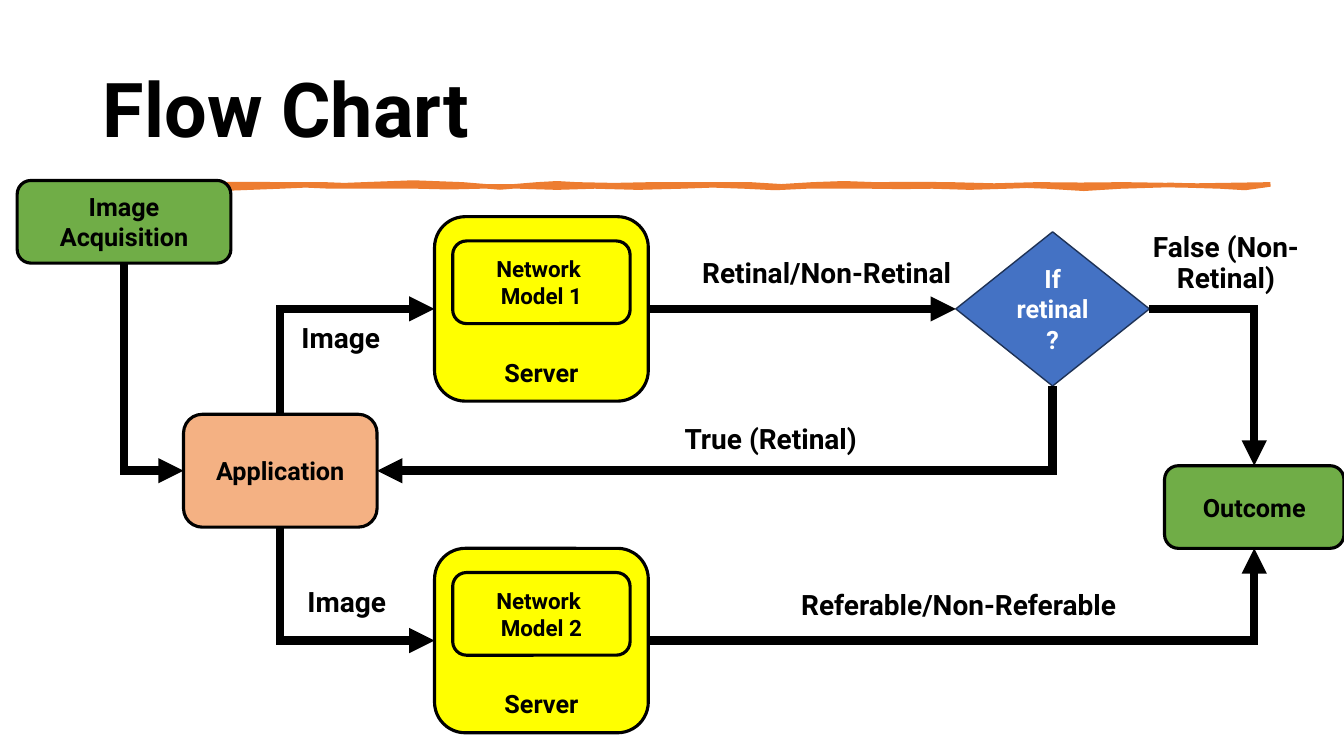
import pptx
import pptx.util
import pptx.dml.color
import pptx.enum.shapes
import pptx.enum.text
import pptx.oxml
import pptx.oxml.ns

Inches = pptx.util.Inches
Pt = pptx.util.Pt
RGBColor = pptx.dml.color.RGBColor
Shape = pptx.enum.shapes.MSO_SHAPE
Connector = pptx.enum.shapes.MSO_CONNECTOR
Anchor = pptx.enum.text.MSO_ANCHOR
Align = pptx.enum.text.PP_ALIGN
qn = pptx.oxml.ns.qn

FONT = "Roboto"
BLACK = RGBColor(0x00, 0x00, 0x00)
WHITE = RGBColor(0xFF, 0xFF, 0xFF)
ORANGE = RGBColor(0xED, 0x7D, 0x31)
GREEN = RGBColor(0x70, 0xAD, 0x47)
YELLOW = RGBColor(0xFF, 0xFF, 0x00)
PEACH = RGBColor(0xF4, 0xB1, 0x83)
BLUE = RGBColor(0x44, 0x72, 0xC4)
NAVY = RGBColor(0x1E, 0x32, 0x56)

TOP, LEFT, BOTTOM, RIGHT = range(4)

UPPER_WAVES = [
    (1.24, -2, 0), (1.98, 1, 3), (2.84, -2, 1), (3.22, 0, 0), (3.61, 1, 1),
    (4.59, -1, -4), (5.33, 5, 3), (5.72, -2, -1), (6.46, 2, 0), (7.44, 1, -1),
    (8.06, 2, 3), (8.68, -2, -1), (9.43, 2, -3), (10.29, 4, -1),
    (11.15, 2, -1), (12.6, 2, 1),
]
LOWER_WAVES = [
    (12.1, 2, 2), (11.12, -1, -3), (10.38, 4, 2), (9.99, -1, -1),
    (9.25, 2, 1), (8.63, 0, 1), (8, 0, 0), (7.38, 1, 3), (6.76, -2, -1),
    (5.9, 2, 1), (5.15, 0, 3), (4.77, -2, 2), (4.14, -1, 3), (3.28, -2, 2),
    (2.78, -2, -1), (1.8, 2, 3), (0.73, -3, -3),
]


def write_text(shape, text, size=18, color=BLACK, align=Align.CENTER,
               anchor=Anchor.MIDDLE, line_spacing=None, indent=0):
    frame = shape.text_frame
    frame.word_wrap = True
    frame.auto_size = pptx.enum.text.MSO_AUTO_SIZE.NONE
    frame.vertical_anchor = anchor
    frame.text = text
    for paragraph in frame.paragraphs:
        paragraph.alignment = align
        paragraph.line_spacing = line_spacing
        if indent:
            properties = paragraph._p.get_or_add_pPr()
            properties.set("marL", str(Inches(indent)))
            properties.set("indent", "0")
        paragraph.font.name = FONT
        paragraph.font.size = Pt(size)
        paragraph.font.bold = True
        paragraph.font.color.rgb = color


def add_element(parent, tag, attributes=""):
    namespace = pptx.oxml.ns.nsdecls("a")
    parent.append(pptx.oxml.parse_xml(f"<a:{tag} {namespace} {attributes}/>"))


def add_title(slide, left, top, width, height):
    title = slide.shapes.title
    title.left, title.top = Inches(left), Inches(top)
    title.width, title.height = Inches(width), Inches(height)
    write_text(title, "Flow Chart", size=54, align=Align.LEFT, line_spacing=0.9)


def wave_points(start, baseline, waves):
    points = []
    for end, first, second in waves:
        bend = 3 * (first + second) / 800
        points.append((Inches((start + end) / 2), Inches(baseline + bend)))
        points.append((Inches(end), Inches(baseline)))
        start = end
    return points


def add_underline(slide, left, top, right, thickness):
    builder = slide.shapes.build_freeform(Inches(left), Inches(top))
    builder.add_line_segments(wave_points(left, top, UPPER_WAVES), close=False)
    builder.add_line_segments(wave_points(right, top + thickness, LOWER_WAVES))
    underline = builder.convert_to_shape()
    underline.shadow.inherit = False
    underline.fill.solid()
    underline.fill.fore_color.rgb = ORANGE
    underline.line.color.rgb = ORANGE
    underline.line.width = Pt(3.25)
    add_element(underline._element.spPr.find(qn("a:ln")), "miter", 'lim="800000"')


def add_node(shapes, left, top, width, height, text, fill, kind=Shape.ROUNDED_RECTANGLE,
             line=BLACK, line_width=2.25, **text_format):
    node = shapes.add_shape(kind, Inches(left), Inches(top), Inches(width), Inches(height))
    node.shadow.inherit = False
    node.fill.solid()
    node.fill.fore_color.rgb = fill
    node.line.color.rgb = line
    node.line.width = Pt(line_width)
    write_text(node, text, **text_format)
    return node


def add_server(slide, left, top, number):
    group = slide.shapes.add_group_shape()
    server = add_node(group.shapes, left, top, 2.12, 1.83, "Server", YELLOW,
                      anchor=Anchor.BOTTOM)
    add_node(group.shapes, left + 0.18, top + 0.24, 1.76, 0.82,
             f"Network \nModel {number}", YELLOW, size=16)
    return server


def add_label(slide, left, top, width, height, text):
    label = slide.shapes.add_textbox(Inches(left), Inches(top), Inches(width), Inches(height))
    write_text(label, text, size=20, anchor=Anchor.TOP, line_spacing=0.9, indent=0.06)


def side_middle(shape, side):
    x = {LEFT: 0, RIGHT: shape.width}.get(side, shape.width // 2)
    y = {TOP: 0, BOTTOM: shape.height}.get(side, shape.height // 2)
    return shape.left + x, shape.top + y


def style_arrow(arrow):
    arrow.line.color.rgb = BLACK
    arrow.line.width = Pt(6)
    properties = arrow._element.spPr
    outline = properties.find(qn("a:ln"))
    add_element(outline, "miter", 'lim="800000"')
    add_element(outline, "tailEnd", 'type="triangle"')
    add_element(properties, "effectLst")


def add_straight_arrow(slide, source, source_side, target, target_side):
    arrow = slide.shapes.add_connector(
        Connector.STRAIGHT, *side_middle(source, source_side), *side_middle(target, target_side))
    arrow.begin_connect(source, source_side)
    arrow.end_connect(target, target_side)
    style_arrow(arrow)


def add_elbow_arrow(slide, source, source_side, target, target_side):
    begin_x, begin_y = side_middle(source, source_side)
    end_x, end_y = side_middle(target, target_side)
    vertical_first = source_side in (TOP, BOTTOM)
    if vertical_first:
        center_x, center_y = (begin_x + end_x) // 2, (begin_y + end_y) // 2
        half_x, half_y = (end_x - begin_x) // 2, (end_y - begin_y) // 2
        begin_x, begin_y = center_x - half_y, center_y + half_x
        end_x, end_y = center_x + half_y, center_y - half_x
    arrow = slide.shapes.add_connector(Connector.ELBOW, begin_x, begin_y, end_x, end_y)
    properties = arrow._element.spPr
    properties.find(qn("a:prstGeom")).set("prst", "bentConnector2")
    if vertical_first:
        properties.find(qn("a:xfrm")).set("rot", "5400000")
    style_arrow(arrow)


def add_flow_chart(slide, left, top):
    shapes = slide.shapes
    acquisition = add_node(shapes, left, top, 2.12, 0.82, "Image Acquisition", GREEN)
    first_server, second_server = [
        add_server(slide, left + 4.14, top + 0.36 + index * 3.29, index + 1)
        for index in range(2)
    ]
    application = add_node(shapes, left + 1.65, top + 2.32, 1.92, 1.12, "Application", PEACH)
    outcome = add_node(shapes, left + 11.38, top + 2.83, 1.78, 0.82, "Outcome", GREEN)
    decision = add_node(shapes, left + 9.31, top + 0.51, 1.92, 1.53, "If retinal?", BLUE,
                        kind=Shape.DIAMOND, line=NAVY, line_width=1, color=WHITE)

    add_straight_arrow(slide, first_server, RIGHT, decision, LEFT)
    for source, source_side, target, target_side in [
        (acquisition, BOTTOM, application, LEFT),
        (application, TOP, first_server, LEFT),
        (application, BOTTOM, second_server, LEFT),
        (decision, RIGHT, outcome, TOP),
        (decision, BOTTOM, application, RIGHT),
        (second_server, RIGHT, outcome, BOTTOM),
    ]:
        add_elbow_arrow(slide, source, source_side, target, target_side)

    for x, y, width, height, text in [
        (2.54, 1.38, 1.28, 0.54, "Image"),
        (2.6, 4, 1.28, 0.54, "Image"),
        (5.93, 0.73, 4.14, 0.54, "Retinal/Non-Retinal"),
        (6.21, 2.38, 2.47, 0.54, "True (Retinal)"),
        (7.24, 4.03, 4.14, 0.54, "Referable/Non-Referable"),
        (10.76, 0.48, 2.4, 0.79, "False (Non-Retinal)"),
    ]:
        add_label(slide, left + x, top + y, width, height, text)


def main():
    presentation = pptx.Presentation()
    presentation.slide_width = Inches(13.33)
    presentation.slide_height = Inches(7.5)
    slide = presentation.slides.add_slide(presentation.slide_layouts[5])
    add_title(slide, 0.92, 0.4, 11.5, 1.45)
    add_underline(slide, 0.73, 1.83, 12.6, 0.02)
    add_flow_chart(slide, 0.17, 1.79)
    presentation.save("out.pptx")


if __name__ == "__main__":
    main()
